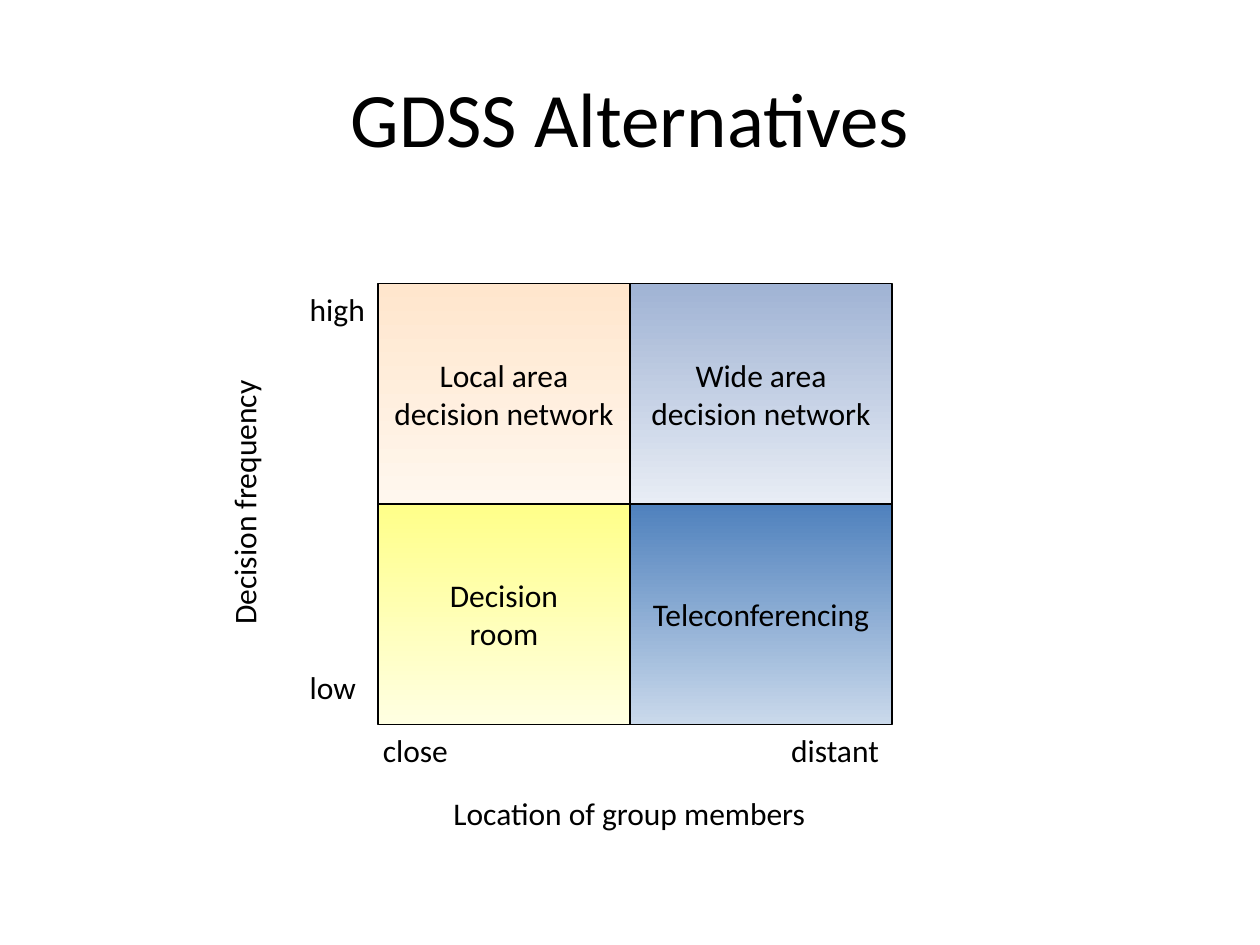
from pptx import Presentation
from pptx.dml.color import RGBColor
from pptx.enum.shapes import MSO_SHAPE
from pptx.enum.text import MSO_ANCHOR, MSO_AUTO_SIZE, PP_ALIGN
from pptx.util import Inches, Pt

COLORS = {
    "ink": "000000",
    "peach": "FFE6CD", "peach_light": "FFF7EE",
    "slate": "A0B3D4", "slate_light": "E8EDF5",
    "yellow": "FFFF89", "yellow_light": "FFFFE2",
    "blue": "4F81BD", "blue_light": "CAD9EB",
}
COL_X = (3, 5)
COL_W = (2, 2.08)
ROW_TOP, ROW_H = 2.25, 1.75
MATRIX_BOTTOM = ROW_TOP + 2 * ROW_H
LABEL_H = 0.4
MATRIX = (
    (("Local area\ndecision network", "peach"), ("Wide area\ndecision network", "slate")),
    (("Decision\nroom", "yellow"), ("Teleconferencing", "blue")),
)
LABELS = (
    ("Location of group members", 3.5, MATRIX_BOTTOM + 0.5, 3, 0),
    ("close", 2.94, MATRIX_BOTTOM, 0.74, 0),
    ("distant", 6.18, MATRIX_BOTTOM, 0.91, 0),
    ("high", 2.36, ROW_TOP, 0.65, 0),
    ("low", 2.36, MATRIX_BOTTOM - 0.5, 0.58, 0),
    ("Decision frequency", 0.86, 3.78, 2.15, 270),
)


def rgb(name):
    return RGBColor.from_string(COLORS[name])


def write(tf, text, size, align):
    p = tf.paragraphs[0]
    p.text = text
    p.alignment = align
    for r in p.runs:
        r.font.name = "Calibri"
        r.font.size = Pt(size)
        r.font.color.rgb = rgb("ink")


def add_title(s, text):
    sp = s.shapes.title
    sp.left, sp.top, sp.width, sp.height = map(Inches, (0.5, 0.3, 9, 1.25))
    sp.text_frame.vertical_anchor = MSO_ANCHOR.MIDDLE
    write(sp.text_frame, text, 44, PP_ALIGN.CENTER)


def add_quadrant(s, row, col, text, color):
    box = (COL_X[col], ROW_TOP + row * ROW_H, COL_W[col], ROW_H)
    sp = s.shapes.add_shape(MSO_SHAPE.RECTANGLE, *map(Inches, box))
    sp.shadow.inherit = False
    sp.fill.gradient()
    sp.fill.gradient_angle = 270
    for stop, name, position in zip(sp.fill.gradient_stops, (color, f"{color}_light"), (0, 1)):
        stop.color.rgb = rgb(name)
        stop.position = position
    sp.line.color.rgb = rgb("ink")
    sp.line.width = Pt(0.75)
    tf = sp.text_frame
    tf.word_wrap = False
    tf.vertical_anchor = MSO_ANCHOR.MIDDLE
    write(tf, text, 18, PP_ALIGN.CENTER)


def add_label(s, text, x, y, w, rotation):
    sp = s.shapes.add_textbox(*map(Inches, (x, y, w, LABEL_H)))
    sp.rotation = rotation
    tf = sp.text_frame
    tf.word_wrap = False
    tf.auto_size = MSO_AUTO_SIZE.SHAPE_TO_FIT_TEXT
    write(tf, text, 18, PP_ALIGN.LEFT)


def main():
    """Build the decision matrix slide and save it."""
    prs = Presentation()
    prs.slide_width, prs.slide_height = Inches(10), Inches(7.5)
    s = prs.slides.add_slide(prs.slide_layouts[5])
    add_title(s, "GDSS Alternatives")
    for row, cells in enumerate(MATRIX):
        for col, (text, color) in enumerate(cells):
            add_quadrant(s, row, col, text, color)
    for label in LABELS:
        add_label(s, *label)
    prs.save("out.pptx")


if __name__ == "__main__":
    main()
